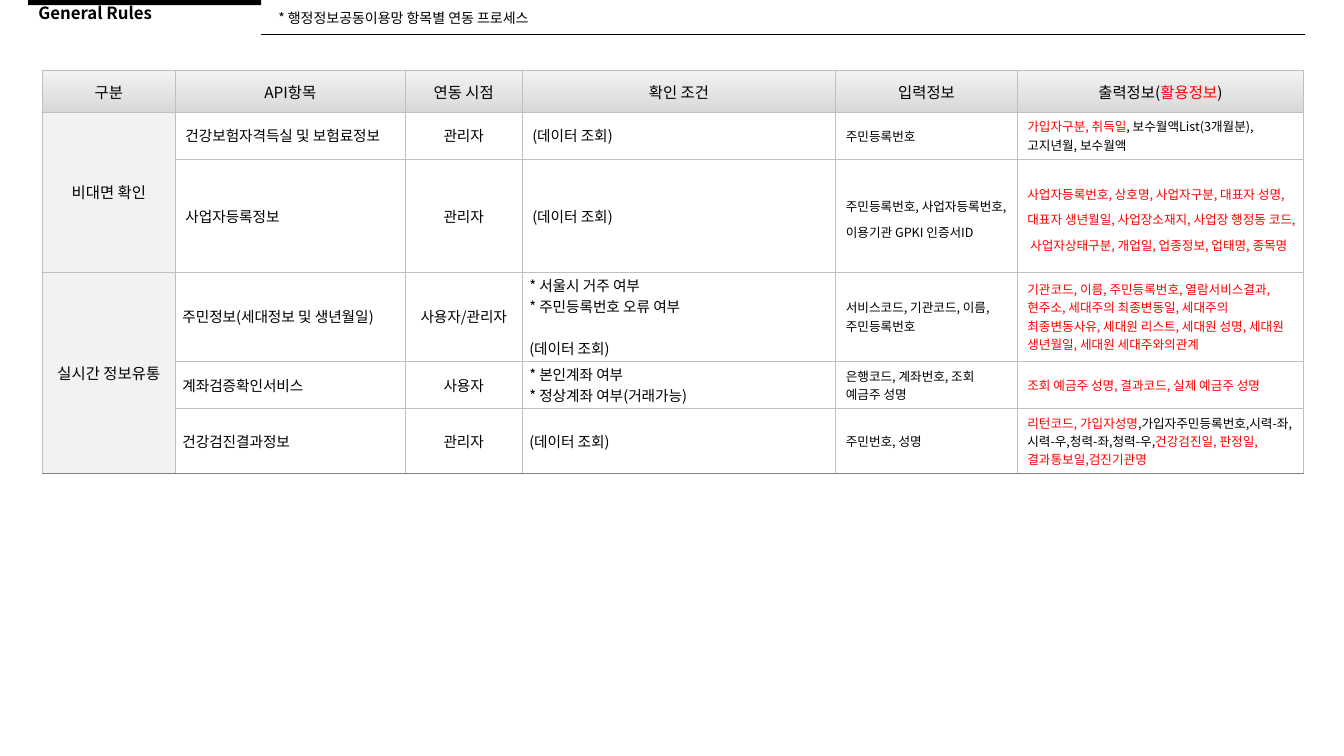
from lxml import etree
from pptx import Presentation
from pptx.dml.color import RGBColor
from pptx.enum.shapes import MSO_CONNECTOR, MSO_SHAPE
from pptx.enum.text import MSO_ANCHOR, MSO_AUTO_SIZE, PP_ALIGN
from pptx.oxml import parse_xml
from pptx.oxml.ns import nsdecls, qn
from pptx.util import Inches, Pt

FONT = "Noto Sans CJK KR"
BLACK, RED, GRID, FOOT, SIDE = "000000", "FF0000", "BFBFBF", "808080", "F2F2F2"


def rgb(value):
    return RGBColor.from_string(value)


def add_runs(p, text, size, bold=False):
    """Add text run by run; every second part between bars is red."""
    for i, part in enumerate(text.split("|")):
        if not part:
            continue
        r = p.add_run()
        r.text = part
        r.font.size, r.font.bold, r.font.name = Pt(size), bold, FONT
        r.font.color.rgb = rgb(RED if i % 2 else BLACK)
        etree.SubElement(r.font._element, qn("a:ea")).set("typeface", FONT)


prs = Presentation()
prs.slide_width, prs.slide_height = Inches(13.33), Inches(7.5)
s = prs.slides.add_slide(prs.slide_layouts[1])

# Header bar and rule
sp = s.shapes.add_shape(MSO_SHAPE.RECTANGLE, Inches(0.28), 0, Inches(2.31), Inches(0.05))
sp.shadow.inherit = False
sp.fill.solid()
sp.fill.fore_color.rgb = rgb(BLACK)
sp.line.fill.background()
rule = s.shapes.add_connector(MSO_CONNECTOR.STRAIGHT, Inches(2.59), Inches(0.34),
                              Inches(12.94), Inches(0.34))
rule.line.color.rgb = rgb(BLACK)
rule.line.width = Pt(0.5)
etree.SubElement(rule._element.spPr, qn("a:effectLst"))

# Title and subtitle
headings = [
    (s.shapes.title, (0.28, 0.03, 2.31, 0.32), "General Rules", 12, True),
    (s.placeholders[1], (2.66, 0.09, 6.96, 0.26),
     "* 행정정보공동이용망 항목별 연동 프로세스", 10, False),
]
for sp, box, text, size, bold in headings:
    sp.left, sp.top, sp.width, sp.height = [Inches(v) for v in box]
    tf = sp.text_frame
    tf.word_wrap, tf.auto_size = True, MSO_AUTO_SIZE.NONE
    tf.vertical_anchor = MSO_ANCHOR.TOP
    tf.margin_top = tf.margin_bottom = Inches(0.02)
    p = tf.paragraphs[0]
    pPr = p._p.get_or_add_pPr()
    pPr.set("marL", "0")
    pPr.set("indent", "0")
    etree.SubElement(pPr, qn("a:buNone"))
    p.alignment, p.line_spacing, p.space_before = PP_ALIGN.LEFT, 0.9, Pt(0)
    add_runs(p, text, size, bold)

# Table content
rows = [
    ["구분", "API항목", "연동 시점", "확인 조건", "입력정보", "출력정보(|활용정보|)"],
    ["비대면 확인", "건강보험자격득실 및 보험료정보", "관리자", "(데이터 조회)", "주민등록번호",
     "|가입자구분, 취득일|, 보수월액List(3개월분), 고지년월, 보수월액"],
    ["", "사업자등록정보", "관리자", "(데이터 조회)",
     "주민등록번호, 사업자등록번호, 이용기관 GPKI 인증서ID",
     "|사업자등록번호, 상호명, 사업자구분, 대표자 성명, 대표자 생년월일, 사업장소재지, "
     "사업장 행정동 코드, 사업자상태구분, 개업일, 업종정보, 업태명, 종목명"],
    ["실시간 정보유통", "주민정보(세대정보 및 생년월일)", "사용자/관리자",
     "* 서울시 거주 여부\n* 주민등록번호 오류 여부\n(데이터 조회)",
     "서비스코드, 기관코드, 이름, 주민등록번호",
     "|기관코드, 이름, 주민등록번호, 열람서비스결과, 현주소, 세대주의 최종변동일, "
     "세대주의 최종변동사유, 세대원 리스트, 세대원 성명, 세대원 생년월일, 세대원 세대주와의관계"],
    ["", "계좌검증확인서비스", "사용자", "* 본인계좌 여부\n* 정상계좌 여부(거래가능)",
     "은행코드, 계좌번호, 조회 예금주 성명", "|조회 예금주 성명, 결과코드, 실제 예금주 성명"],
    ["", "건강검진결과정보", "관리자", "(데이터 조회)", "주민번호, 성명",
     "|리턴코드, 가입자성명|,가입자주민등록번호,시력-좌,시력-우,청력-좌,청력-우,|"
     "건강검진일, 판정일,결과통보일,검진기관명"],
]
col_widths = [1.32, 2.28, 1.16, 3.11, 1.8, 2.84]
row_heights = [0.41, 0.47, 1.12, 0.87, 0.47, 0.64]
col_sizes = [11, 10.5, 10.5, 10.5, 9, 9]
last = len(rows) - 1

# Table grid
table = s.shapes.add_table(len(rows), len(col_widths), Inches(0.42), Inches(0.7),
                           Inches(sum(col_widths)), Inches(sum(row_heights))).table
table.first_row = table.horz_banding = False
for col, width in zip(table.columns, col_widths):
    col.width = Inches(width)
for row, height in zip(table.rows, row_heights):
    row.height = Inches(height)
for first, end in [(1, 2), (3, last)]:
    table.cell(first, 0).merge(table.cell(end, 0))

# Cells: fill, margins, text, borders
for i, texts in enumerate(rows):
    for j, text in enumerate(texts):
        cell = table.cell(i, j)
        cell.vertical_anchor = MSO_ANCHOR.MIDDLE
        if i == 0:
            cell.fill.gradient()
            cell.fill.gradient_angle = 270
            for stop, color in zip(cell.fill.gradient_stops, ("F2F2F2", "D9D9D9")):
                stop.color.rgb = rgb(color)
        elif j == 0:
            cell.fill.solid()
            cell.fill.fore_color.rgb = rgb(SIDE)
        else:
            cell.fill.background()

        mx, my = (0, 0.05) if i == 0 else (0.07, 0.02) if i > 2 and j < 4 else (0.1, 0.05)
        cell.margin_left = cell.margin_right = Inches(mx)
        cell.margin_top = cell.margin_bottom = Inches(my)

        tf = cell.text_frame
        for n, line in enumerate(text.split("\n")):
            p = tf.add_paragraph() if n else tf.paragraphs[0]
            p.alignment = PP_ALIGN.CENTER if i == 0 or j in (0, 2) else PP_ALIGN.LEFT
            if i == 2 and j > 3:
                p.line_spacing = 1.4
            if n == 2:
                p.space_before = Pt(15.3)
            add_runs(p, line, 11 if i == 0 else col_sizes[j])

        at_foot = i == last or (i == 3 and j == 0)
        borders = [("L", GRID, 0.25 if j < 2 else 0.5), ("R", GRID, 0.25 if j == 0 else 0.5),
                   ("T", GRID, 0.5 if i == 0 else 0.25),
                   ("B", FOOT if at_foot else GRID, 0.5 if at_foot else 0.25)]
        tcPr = cell._tc.get_or_add_tcPr()
        for n, (side, color, width) in enumerate(borders):
            tcPr.insert(n, parse_xml(
                f'<a:ln{side} {nsdecls("a")} w="{Pt(width)}"><a:solidFill>'
                f'<a:srgbClr val="{color}"/></a:solidFill></a:ln{side}>'))

prs.save("out.pptx")
